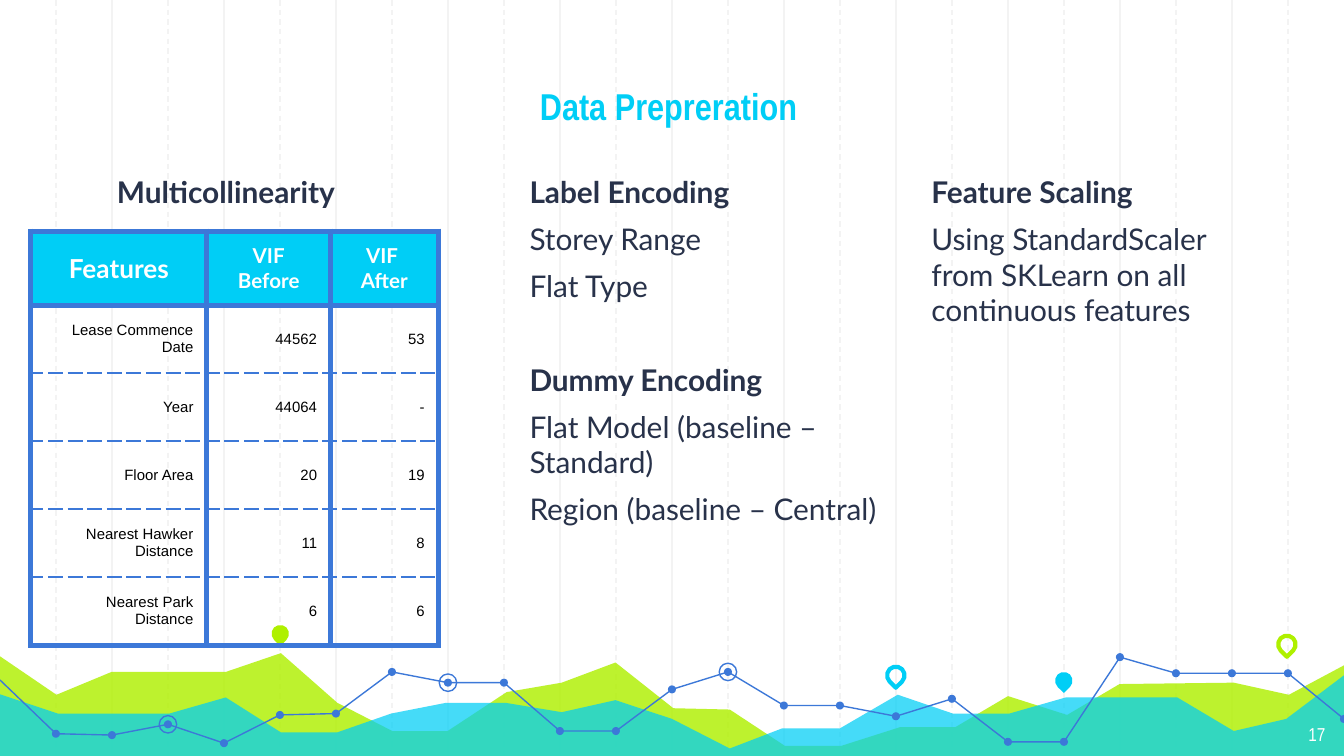
"""Build the data preparation slide: a VIF table, two encoding lists and a scaling note."""
import pptx
import pptx.dml.color
import pptx.enum.dml
import pptx.enum.shapes
import pptx.enum.text
import pptx.oxml
import pptx.oxml.ns
import pptx.util

Inches = pptx.util.Inches
Pt = pptx.util.Pt
Align = pptx.enum.text.PP_ALIGN
Anchor = pptx.enum.text.MSO_ANCHOR
Shape = pptx.enum.shapes.MSO_SHAPE

CYAN, LIME, BLUE, NAVY, GRAY = "00CEF6", "AFF000", "3C78D8", "28324A", "F3F3F3"
WHITE, BLACK = "FFFFFF", "000000"
STEP = 10 / 24

TITLE_FORMAT = {"name": "Arial Narrow", "size": Pt(20), "bold": True}
HEADING_FORMAT = {"name": "Lato", "size": Pt(16), "bold": True}
ITEM_FORMAT = {"name": "Lato", "size": Pt(16), "bold": False}
NUMBER_FORMAT = {"name": "Arial Narrow", "size": Pt(10), "bold": False}
CELL_FORMAT = {"name": "Arial", "size": Pt(8), "bold": False}

TITLE = "Data Prepreration"
COLUMNS = [
    ((0.77, 1.19, 2.7, 0.47), [("Multicollinearity", [])]),
    ((3.84, 1.19, 3.26, 3.61), [
        ("Label Encoding", ["Storey Range", "Flat Type"]),
        ("Dummy Encoding", ["Flat Model (baseline – Standard)", "Region (baseline – Central)"]),
    ]),
    ((6.83, 1.19, 2.7, 3.61), [
        ("Feature Scaling", ["Using StandardScaler from SKLearn on all continuous features"]),
    ]),
]
TABLE_HEADER = [(["Features"], 14), (["VIF", "Before"], 11), (["VIF ", "After"], 11)]
TABLE_ROWS = [
    ("Lease Commence Date", "44562", "53"),
    ("Year", "44064", "-"),
    ("Floor Area", "20", "19"),
    ("Nearest Hawker Distance", "11", "8"),
    ("Nearest Park Distance", "6", "6"),
]
TABLE_WIDTHS = [1.31, 0.92, 0.8]
TABLE_HEIGHT, HEADER_HEIGHT = 3.08, 0.55
ROW_HEIGHT = (TABLE_HEIGHT - HEADER_HEIGHT) / len(TABLE_ROWS)

LIME_AREA = [
    (-0.02, 4.87), (0.42, 5.17), (0.83, 5), (1.68, 5), (2.09, 4.86), (2.51, 5.23),
    (2.92, 5.44), (3.33, 5.44), (3.77, 5.15), (4.18, 5.08), (4.58, 4.93), (5.01, 5.27),
    (5.43, 5.28), (5.84, 5.55), (6.26, 5.55), (6.7, 5.41), (7.11, 5.41), (7.5, 5.18),
    (7.94, 5.32), (8.33, 5.09), (9.18, 5.08), (9.59, 5.17), (10.02, 4.94),
    (10.01, 5.64), (-0.03, 5.64),
]
CYAN_AREA = [
    (-0.02, 5.16), (0.43, 5.31), (1.26, 5.31), (1.68, 5.19), (2.09, 5.45), (2.51, 5.45),
    (2.91, 5.31), (3.32, 5.23), (3.76, 5.23), (4.18, 5.3), (4.58, 5.21), (5, 5.35),
    (5.43, 5.57), (5.82, 5.42), (6.25, 5.42), (6.68, 5.17), (7.09, 5.31), (7.51, 5.31),
    (7.93, 5.19), (8.76, 5.19), (9.18, 5.44), (9.57, 5.35), (10.02, 5.01),
    (10.02, 5.65), (-0.03, 5.65),
]
AREAS = [(LIME_AREA, LIME, 82), (CYAN_AREA, CYAN, 73)]
TREND_HEIGHTS = [
    5.06, 5.46, 5.47, 5.39, 5.53, 5.32, 5.31, 5, 5.08, 5.08, 5.44, 5.44, 5.13,
    5, 5.25, 5.25, 5.33, 5.2, 5.52, 5.52, 4.89, 5.01, 5.01, 5.01, 5.35,
]
TREND = [(index * STEP, height) for index, height in enumerate(TREND_HEIGHTS)]
TREND_BREAKS = [(0, 11), (11, 20), (20, 24)]
RINGED = [8, 3, 13]
PINS = [
    (2.02, 4.65, LIME, True), (6.6, 4.96, CYAN, False),
    (7.85, 5, CYAN, True), (9.51, 4.73, LIME, False),
]


def paint(target, color):
    """Give a fill or a font one hex colour."""
    if hasattr(target, "solid"):
        target.solid()
        target = target.fore_color
    else:
        target = target.color
    target.rgb = pptx.dml.color.RGBColor.from_string(color)


def style(shape, fill=None, line=None, width=0.75):
    """Set fill and outline and drop the shadow."""
    shape.shadow.inherit = False
    for part, color in ((shape.fill, fill), (shape.line.fill, line)):
        if color:
            paint(part, color)
        else:
            part.background()
    if line:
        shape.line.width = Pt(width)


def write(paragraph, text, font_format, color, align=Align.LEFT, before=0):
    """Fill one paragraph with a formatted span."""
    paragraph.alignment = align
    paragraph.space_before = Pt(before)
    span = paragraph.add_run()
    span.text = text
    for name, value in font_format.items():
        setattr(span.font, name, value)
    paint(span.font, color)


def add_marker(page, kind, left, top, size, **look):
    """Add a small square-framed shape."""
    marker = page.shapes.add_shape(kind, *map(Inches, (left, top, size, size)))
    style(marker, **look)
    return marker


def add_outline(page, points, closed):
    """Add a freeform through points given in inches."""
    points = [(Inches(x), Inches(y)) for x, y in points]
    builder = page.shapes.build_freeform(*points[0], scale=1.0)
    builder.add_line_segments(points[1:], close=closed)
    return builder.convert_to_shape()


def add_grid(page):
    """Draw solid lines on even steps, then dashed ones on odd steps."""
    for index in [*range(2, 24, 2), *range(1, 24, 2)]:
        x = Inches(index * STEP)
        rule = page.shapes.add_connector(
            pptx.enum.shapes.MSO_CONNECTOR.STRAIGHT, x, 0, x, Inches(5.65))
        paint(rule.line.fill, GRAY)
        rule.line.width = Pt(0.75)
        if index % 2:
            rule.line.dash_style = pptx.enum.dml.MSO_LINE.DASH
        rule.element.spPr.append(pptx.oxml.parse_xml(
            f'<a:effectLst {pptx.oxml.ns.nsdecls("a")}/>'))


def add_landscape(page):
    """Draw the areas, pins and trend line along the bottom."""
    for points, color, opacity in AREAS:
        area = add_outline(page, points, True)
        style(area, fill=color)
        for node in area.element.spPr.iter(pptx.oxml.ns.qn("a:srgbClr")):
            node.append(pptx.oxml.parse_xml(
                f'<a:alpha {pptx.oxml.ns.nsdecls("a")} val="{opacity * 1000}"/>'))
    for left, top, color, filled in PINS:
        look = {"fill": color} if filled else {"line": color, "width": 2.25}
        add_marker(page, Shape.TEAR, left, top, 0.13, **look).rotation = 135
    for first, last in TREND_BREAKS:
        style(add_outline(page, TREND[first:last + 1], False), line=BLUE)
    for x, y in TREND[1:]:
        add_marker(page, Shape.OVAL, x - 0.03, y - 0.03, 0.06, fill=BLUE)
    for index in RINGED:
        x, y = TREND[index]
        add_marker(page, Shape.OVAL, x - 0.13 / 2, y - 0.13 / 2, 0.13, line=BLUE)


def place(box, frame, anchor):
    """Position a text box and set its margins and anchor."""
    box.left, box.top, box.width, box.height = map(Inches, frame)
    text = box.text_frame
    text.word_wrap = True
    text.auto_size = pptx.enum.text.MSO_AUTO_SIZE.NONE
    text.vertical_anchor = anchor
    for side in ("left", "top", "right", "bottom"):
        setattr(text, f"margin_{side}", Inches(0.1))
    return text


def add_texts(page, holders):
    """Fill the title, the three body columns and the page number."""
    title, *bodies = holders
    for holder in holders:
        holder.element.getparent().append(holder.element)
    text = place(title, (1.15, 0.27, 7.65, 0.78), Anchor.BOTTOM)
    write(text.paragraphs[0], TITLE, TITLE_FORMAT, CYAN, Align.CENTER)
    for body, (frame, groups) in zip(bodies, COLUMNS):
        text = place(body, frame, Anchor.TOP)
        lines = []
        for heading, items in groups:
            lines.append((heading, HEADING_FORMAT, 31 if lines else 0))
            lines += [(item, ITEM_FORMAT, 6) for item in items]
        for index, (line, font_format, before) in enumerate(lines):
            paragraph = text.add_paragraph() if index else text.paragraphs[0]
            properties = paragraph._p.get_or_add_pPr()
            properties.set("marL", "0")
            properties.set("indent", "0")
            properties.append(pptx.oxml.parse_xml(
                f'<a:buNone {pptx.oxml.ns.nsdecls("a")}/>'))
            write(paragraph, line, font_format, NAVY, before=before)
    text = place(page.shapes.add_textbox(0, 0, 0, 0), (9.36, 5.28, 0.6, 0.35), Anchor.TOP)
    write(text.paragraphs[0], "17", NUMBER_FORMAT, WHITE, Align.RIGHT)


def add_borders(cell, thick_sides):
    """Draw thick solid borders on some sides and thin dashed ones on the rest."""
    for side in "LRTB":
        width, dash = (3, "solid") if side in thick_sides else (0.75, "dash")
        cell._tc.get_or_add_tcPr().append(pptx.oxml.parse_xml(
            f'<a:ln{side} {pptx.oxml.ns.nsdecls("a")} w="{Pt(width)}"><a:solidFill>'
            f'<a:srgbClr val="{BLUE}"/></a:solidFill><a:prstDash val="{dash}"/></a:ln{side}>'))


def add_vif_table(page):
    """Add the table of variance inflation factors."""
    rows = [TABLE_HEADER] + [[([value], 8) for value in row] for row in TABLE_ROWS]
    table = page.shapes.add_table(len(rows), len(TABLE_WIDTHS), *map(
        Inches, (0.23, 1.72, sum(TABLE_WIDTHS), TABLE_HEIGHT))).table
    table.horz_banding = False
    for column, width in zip(table.columns, TABLE_WIDTHS):
        column.width = Inches(width)
    for row_index, row in enumerate(rows):
        header = row_index == 0
        table.rows[row_index].height = Inches(HEADER_HEIGHT if header else ROW_HEIGHT)
        thick = "LR" + "T" * (row_index < 2) + "B" * (row_index in (0, len(rows) - 1))
        for column_index, (lines, size) in enumerate(row):
            cell = table.cell(row_index, column_index)
            cell.vertical_anchor = Anchor.MIDDLE
            add_borders(cell, thick)
            if header:
                cell.margin_top = cell.margin_bottom = Inches(0.07)
                paint(cell.fill, CYAN)
            else:
                cell.fill.background()
            font_format = {**(HEADING_FORMAT if header else CELL_FORMAT), "size": Pt(size)}
            for index, line in enumerate(lines):
                text = cell.text_frame
                paragraph = text.add_paragraph() if index else text.paragraphs[0]
                write(paragraph, line, font_format, WHITE if header else BLACK,
                      Align.CENTER if header else Align.RIGHT)


def main():
    """Build and save the deck."""
    deck = pptx.Presentation()
    deck.slide_width, deck.slide_height = Inches(10), Inches(10 * 9 / 16)
    page = deck.slides.add_slide(deck.slide_layouts[4])
    *holders, spare = page.placeholders
    spare.element.getparent().remove(spare.element)
    add_grid(page)
    add_landscape(page)
    add_texts(page, holders)
    add_vif_table(page)
    deck.save("out.pptx")


if __name__ == "__main__":
    main()
